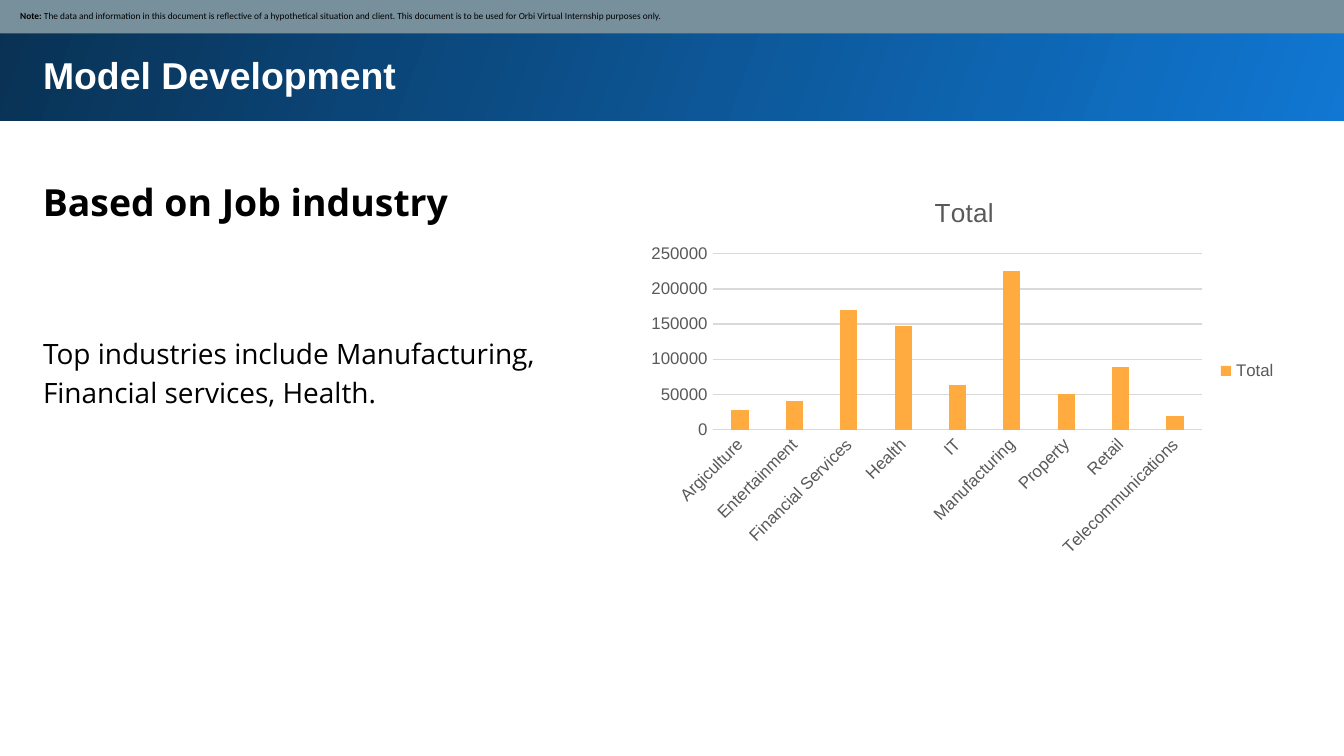
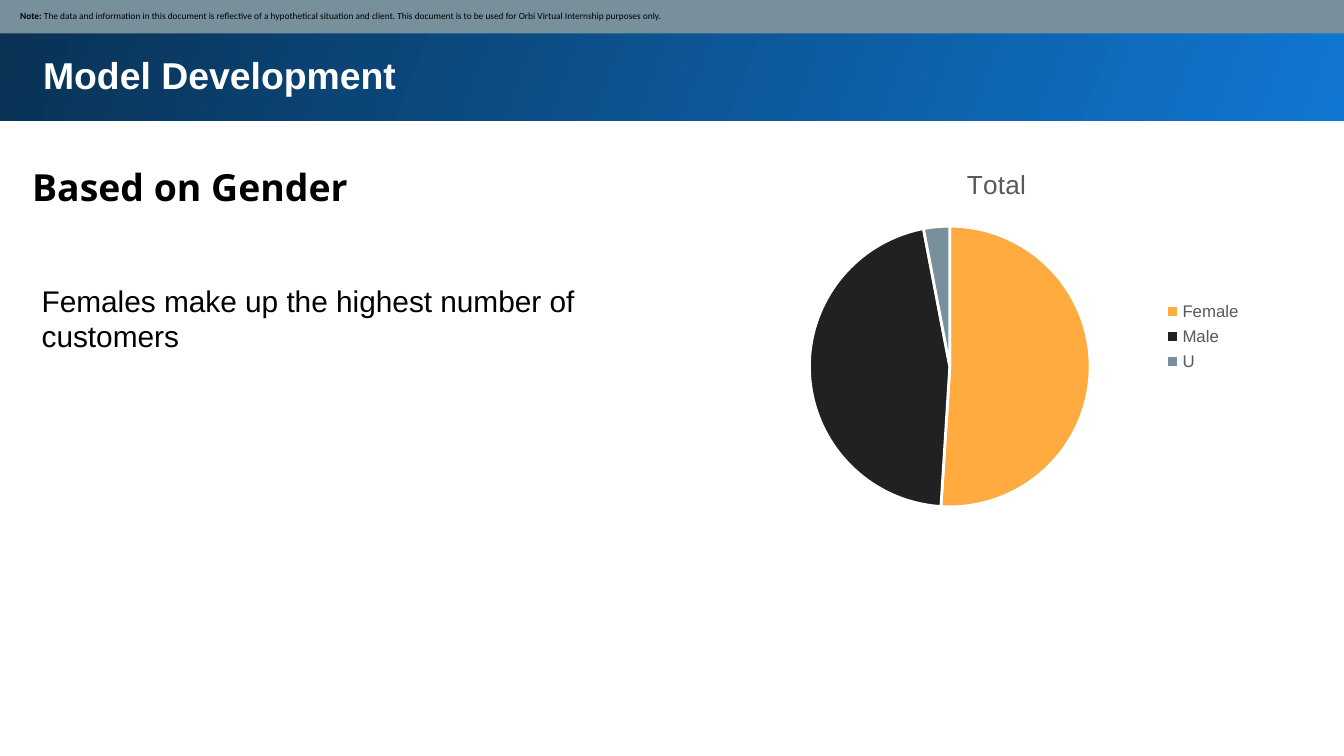
from lxml import etree
from pptx import Presentation
from pptx.chart.data import CategoryChartData
from pptx.dml.color import RGBColor
from pptx.enum import chart as kinds, shapes, text
from pptx.oxml import ns
from pptx.util import Inches, Pt

INK, WHITE, GREY, RULE = "000000", "FFFFFF", "595959", "D9D9D9"
GOLD, COAL, SLATE = "FFAB40", "212121", "78909C"
BLUE, NAVY = "1077D2", "093153"
SANS, OPEN, SMALL = "Arial", "Open Sans", "Calibri"
NOTE = ("The data and information in this document is reflective of a "
        "hypothetical situation and client. This document is to be used for "
        "Orbi Virtual Internship purposes only.")


def tint(code):
    """Turn a hex string into a colour."""
    return RGBColor.from_string(code)


def style(font, size, color=GREY, face=SANS, bold=False):
    """Format a font."""
    font.size, font.name, font.bold = Pt(size), face, bold
    font.color.rgb = tint(color)


def place(item, left, top, width, height):
    """Move and size a shape."""
    item.left, item.top = Inches(left), Inches(top)
    item.width, item.height = Inches(width), Inches(height)


def write(item, *parts, size, color=INK, face=SANS, bold=False, line=1.0,
          pad=0.1, left=None, anchor=text.MSO_ANCHOR.TOP,
          fit=text.MSO_AUTO_SIZE.SHAPE_TO_FIT_TEXT):
    """Write one paragraph; only its first part is bold."""
    frame = item.text_frame
    frame.word_wrap, frame.auto_size = True, fit
    frame.vertical_anchor = anchor
    frame.margin_top = frame.margin_bottom = frame.margin_right = Inches(pad)
    frame.margin_left = Inches(pad if left is None else left)
    para = frame.paragraphs[0]
    para.alignment, para.line_spacing = text.PP_ALIGN.LEFT, line
    para.space_before = para.space_after = Pt(0)
    for i, part in enumerate(parts):
        run = para.add_run()
        run.text = part
        style(run.font, size, color, face, bold and i == 0)


def plain(item):
    """Take the bullet and indent off a placeholder."""
    for para in item.text_frame.paragraphs:
        props = para._p.get_or_add_pPr()
        props.set("marL", "0")
        props.set("indent", "0")
        etree.SubElement(props, ns.qn("a:buNone"))


def band(slide, *spot):
    """Add a full-width rectangle without line or shadow."""
    box = slide.shapes.add_shape(shapes.MSO_SHAPE.RECTANGLE,
                                 *map(Inches, spot))
    box.shadow.inherit = False
    box.line.fill.background()
    return box


def base(deck, head, spot, body, area, **form):
    """Add a slide with its bands, title, heading and body text."""
    slide = deck.slides.add_slide(deck.slide_layouts[1])
    title, prose = slide.placeholders
    strip = band(slide, -0.02, -0.02, 10.05, 0.92)
    strip.fill.gradient()
    strip.fill.gradient_angle = 160
    for stop, code in zip(strip.fill.gradient_stops, (BLUE, NAVY)):
        stop.color.rgb = tint(code)
    title.element.addprevious(strip.element)

    place(title, 0.22, 0.29, 9.37, 0.54)
    write(title, "Model Development", size=20, color=WHITE, bold=True)
    label = slide.shapes.add_textbox(*map(Inches, spot))
    write(label, head, size=20, face=OPEN, bold=True, line=1.15)
    place(prose, *area)
    write(prose, body, **form)
    plain(prose)

    bar = band(slide, -0.01, -0.01, 10.03, 0.26)
    bar.fill.solid()
    bar.fill.fore_color.rgb = tint(SLATE)
    write(bar, "Note: ", NOTE, size=5, face=SMALL, bold=True, pad=0.05,
          left=0.16, anchor=text.MSO_ANCHOR.MIDDLE,
          fit=text.MSO_AUTO_SIZE.NONE)
    return slide


def graph(slide, kind, spot, data):
    """Add a chart of totals with a title and a legend."""
    feed = CategoryChartData()
    feed.categories = list(data)
    feed.add_series("Total", list(data.values()))
    chart = slide.shapes.add_chart(kind, *map(Inches, spot), feed).chart
    style(chart.font, 10, INK)
    chart.has_title = chart.has_legend = True
    frame = chart.chart_title.text_frame
    frame.text = "Total"
    style(frame.paragraphs[0].runs[0].font, 14)
    chart.chart_title.include_in_layout = False
    chart.legend.position = kinds.XL_LEGEND_POSITION.RIGHT
    chart.legend.include_in_layout = False
    style(chart.legend.font, 9)
    return chart


def stroke(line, color, width=0.75):
    """Set the colour and width of a line."""
    line.color.rgb, line.width = tint(color), Pt(width)


def paint(part, color):
    """Fill a series or a point."""
    part.format.fill.solid()
    part.format.fill.fore_color.rgb = tint(color)


def bars(slide, spot, data):
    """Add a column chart."""
    chart = graph(slide, kinds.XL_CHART_TYPE.COLUMN_CLUSTERED, spot, data)
    plot = chart.plots[0]
    plot.gap_width, plot.overlap = 219, -27
    plot.vary_by_categories = False
    paint(plot.series[0], GOLD)
    for axis in (chart.category_axis, chart.value_axis):
        axis.major_tick_mark = axis.minor_tick_mark = kinds.XL_TICK_MARK.NONE
        style(axis.tick_labels.font, 9)
    stroke(chart.category_axis.format.line, RULE)
    chart.value_axis.format.line.fill.background()
    stroke(chart.value_axis.major_gridlines.format.line, RULE)
    turn = chart.element.xpath(".//c:catAx/c:txPr/a:bodyPr")[0]
    turn.set("rot", "-2700000")


def pie(slide, spot, data, colors):
    """Add a pie chart with white gaps."""
    chart = graph(slide, kinds.XL_CHART_TYPE.PIE, spot, data)
    plot = chart.plots[0]
    plot.vary_by_categories = True
    for i, color in enumerate(colors):
        point = plot.series[0].points[i]
        paint(point, color)
        stroke(point.format.line, WHITE, 1.5)


def main():
    """Build the deck."""
    deck = Presentation()
    deck.slide_width = Inches(10)
    deck.slide_height = deck.slide_width * 9 // 16

    trade = base(deck, "Based on Job industry", (0.22, 1.18, 9.37, 0.56),
                 "Top industries include Manufacturing, "
                 "Financial services, Health.",
                 (0.22, 2.37, 4.52, 0.76), size=15, face=OPEN, line=1.15)
    bars(trade, (4.75, 1.31, 4.85, 2.9), {
        "Argiculture": 28000, "Entertainment": 41000,
        "Financial Services": 170000, "Health": 148000, "IT": 64000,
        "Manufacturing": 225000, "Property": 51000, "Retail": 89000,
        "Telecommunications": 19000})

    gender = base(deck, "Based on Gender", (0.14, 1.07, 4.52, 0.56),
                  "Females make up the highest number of customers",
                  (0.21, 2, 4.52, 0.74), size=16)
    pie(gender, (5.49, 1.1, 3.85, 2.81),
        {"Female": 51, "Male": 46, "U": 3}, (GOLD, COAL, SLATE))

    deck.save("out.pptx")


if __name__ == "__main__":
    main()
